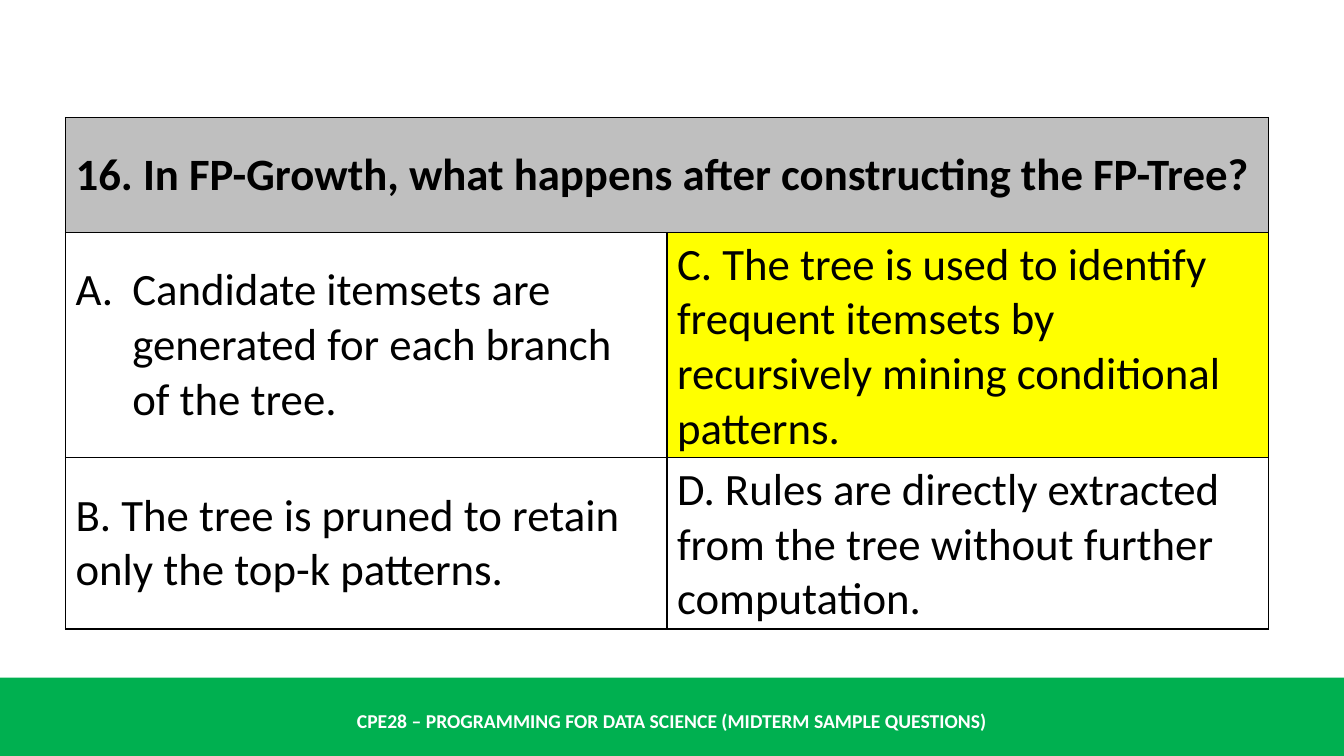
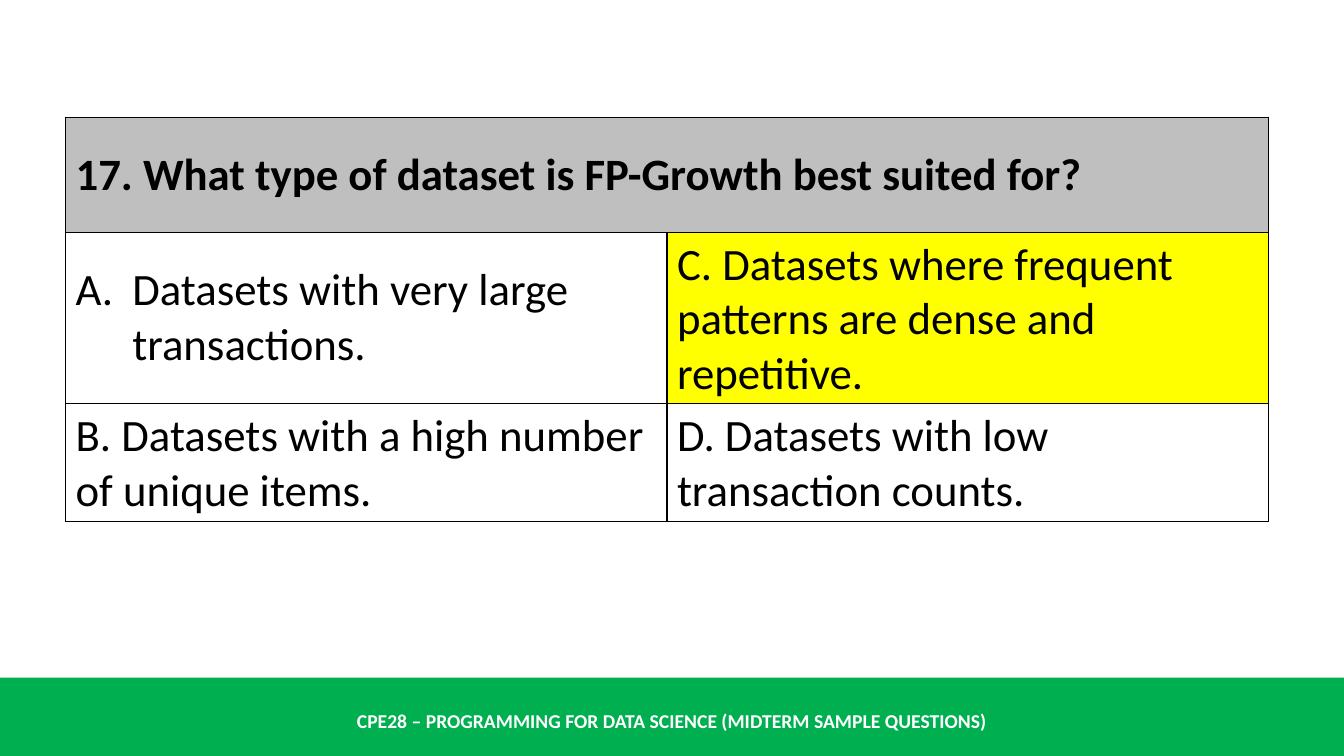
"""Build two multiple-choice question slides with a shared footer band."""
import dataclasses

import pptx
import pptx.dml.color
import pptx.enum.shapes
import pptx.enum.text
import pptx.oxml
import pptx.oxml.ns
import pptx.util

Pt = pptx.util.Pt


@dataclasses.dataclass(frozen=True)
class Theme:
    """Shared colours, font and type sizes."""
    font: str = "Calibri"
    question_size: int = 32
    footer_size: int = 14
    text: str = "000000"
    footer_text: str = "FFFFFF"
    band: str = "00B050"
    question_fill: str = "BFBFBF"
    correct_fill: str = "FFFF00"
    border: str = "000000"


THEME = Theme()
SLIDE_WIDTH, SLIDE_HEIGHT = 960, 540
BAND_TOP = 484
TABLE_LEFT, TABLE_TOP = 46.8, 84
COLUMN_WIDTH, ROW_HEIGHT = 429.6, 82
LIST_INDENT = 40.5
FOOTER = "CPE28 – PROGRAMMING FOR DATA SCIENCE (MIDTERM SAMPLE QUESTIONS)"
QUESTIONS = [
    ("16. In FP-Growth, what happens after constructing the FP-Tree?",
     [["Candidate itemsets are generated for each branch of the tree.",
       "C. The tree is used to identify frequent itemsets by recursively "
       "mining conditional patterns."],
      ["B. The tree is pruned to retain only the top-k patterns.",
       "D. Rules are directly extracted from the tree without further "
       "computation."]]),
    ("17. What type of dataset is FP-Growth best suited for?",
     [["Datasets with very large transactions.",
       "C. Datasets where frequent patterns are dense and repetitive."],
      ["B. Datasets with a high number of unique items.",
       "D. Datasets with low transaction counts."]]),
]


def rgb(value):
    """Return a colour object for a hex string."""
    return pptx.dml.color.RGBColor.from_string(value)


def style_paragraph(paragraph, size, color, bold=False):
    """Set the font of a whole paragraph."""
    font = paragraph.font
    font.name, font.size, font.bold = THEME.font, Pt(size), bold
    font.color.rgb = rgb(color)


def add_footer(slide):
    """Draw the green band and its centred caption."""
    band = slide.shapes.add_shape(
        pptx.enum.shapes.MSO_SHAPE.RECTANGLE, 0, Pt(BAND_TOP),
        Pt(SLIDE_WIDTH), Pt(SLIDE_HEIGHT - BAND_TOP))
    band.shadow.inherit = False
    band.fill.solid()
    band.fill.fore_color.rgb = rgb(THEME.band)
    band.line.fill.background()
    caption = slide.shapes.add_textbox(0, Pt(500.4), Pt(SLIDE_WIDTH), Pt(28.8))
    frame = caption.text_frame
    frame.word_wrap = True
    frame.vertical_anchor = pptx.enum.text.MSO_ANCHOR.MIDDLE
    paragraph = frame.paragraphs[0]
    paragraph.text = FOOTER
    paragraph.alignment = pptx.enum.text.PP_ALIGN.CENTER
    style_paragraph(paragraph, THEME.footer_size, THEME.footer_text, True)


def add_borders(cell):
    """Outline a cell on all four sides."""
    properties = cell._tc.get_or_add_tcPr()
    for side in "LRTB":
        properties.append(pptx.oxml.parse_xml(
            f'<a:ln{side} {pptx.oxml.ns.nsdecls("a")} w="{Pt(1)}"><a:solidFill>'
            f'<a:srgbClr val="{THEME.border}"/></a:solidFill></a:ln{side}>'))


def add_lettering(paragraph):
    """Number a paragraph automatically with a hanging capital letter."""
    properties = paragraph._p.get_or_add_pPr()
    properties.set("marL", str(Pt(LIST_INDENT)))
    properties.set("indent", str(-Pt(LIST_INDENT)))
    properties.append(pptx.oxml.parse_xml(
        f'<a:buAutoNum {pptx.oxml.ns.nsdecls("a")} type="alphaUcPeriod"/>'))


def fill_cell(cell, text, fill=None, bold=False, lettered=False):
    """Write and style one table cell."""
    cell.vertical_anchor = pptx.enum.text.MSO_ANCHOR.MIDDLE
    if fill:
        cell.fill.solid()
        cell.fill.fore_color.rgb = rgb(fill)
    else:
        cell.fill.background()
    paragraph = cell.text_frame.paragraphs[0]
    paragraph.text = text
    if lettered:
        add_lettering(paragraph)
    style_paragraph(paragraph, THEME.question_size, THEME.text, bold)


def add_question(slide, question, answers):
    """Add the question table with the correct answer, C, highlighted."""
    table = slide.shapes.add_table(
        3, 2, Pt(TABLE_LEFT), Pt(TABLE_TOP),
        Pt(2 * COLUMN_WIDTH), Pt(3 * ROW_HEIGHT)).table
    table.first_row = table.horz_banding = False
    for cell in table.iter_cells():
        add_borders(cell)
    table.cell(0, 0).merge(table.cell(0, 1))
    fill_cell(table.cell(0, 0), question, THEME.question_fill, bold=True)
    for row, texts in enumerate(answers, start=1):
        for column, text in enumerate(texts):
            fill = THEME.correct_fill if (row, column) == (1, 1) else None
            fill_cell(table.cell(row, column), text, fill,
                      lettered=(row, column) == (1, 0))


def main():
    """Build and save the presentation."""
    presentation = pptx.Presentation()
    presentation.slide_width = Pt(SLIDE_WIDTH)
    presentation.slide_height = Pt(SLIDE_HEIGHT)
    for question, answers in QUESTIONS:
        slide = presentation.slides.add_slide(presentation.slide_layouts[6])
        add_footer(slide)
        add_question(slide, question, answers)
    presentation.save("out.pptx")


if __name__ == "__main__":
    main()
